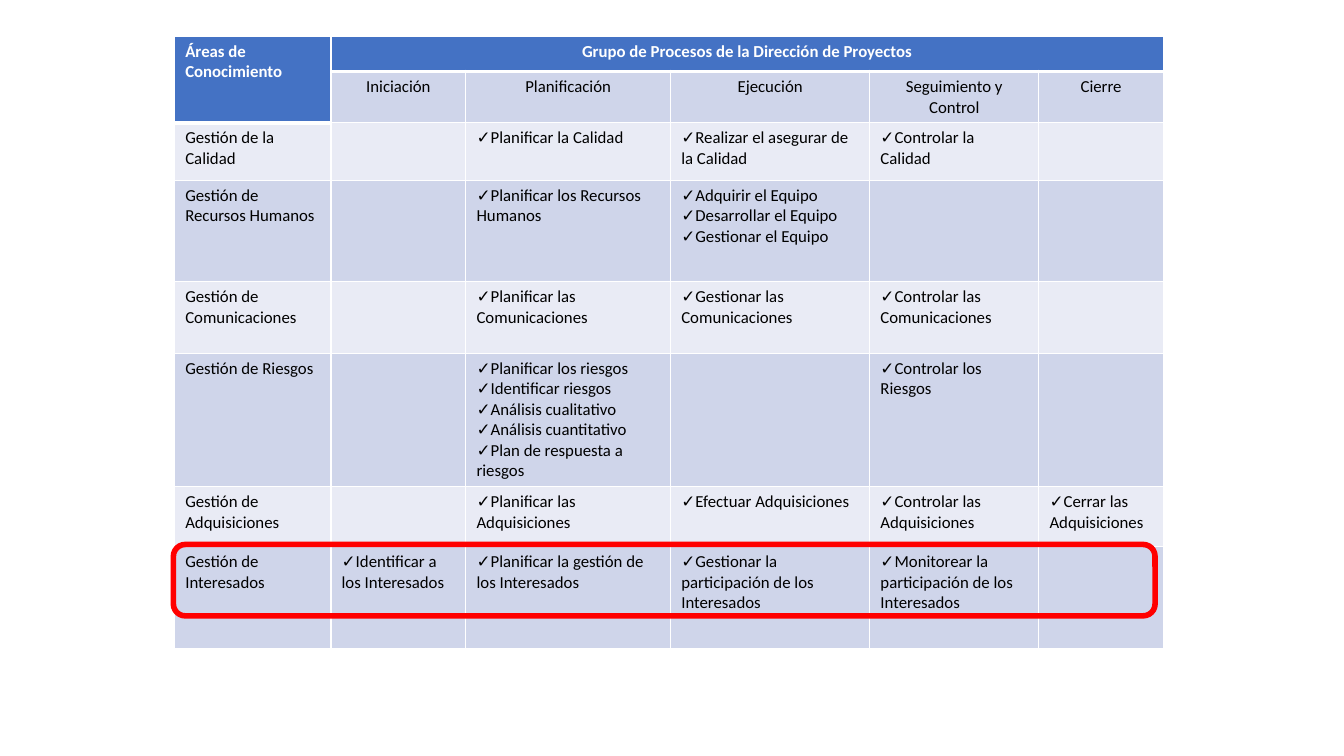
import pptx
import pptx.util
import pptx.dml.color
import pptx.enum.shapes
import pptx.enum.text
from lxml import etree
from pptx.oxml.ns import qn

Cm = pptx.util.Cm
Pt = pptx.util.Pt
RGB = pptx.dml.color.RGBColor
CENTER = pptx.enum.text.PP_ALIGN.CENTER

# Content: each cell is a list of its paragraphs
HEADS = [
    [["Áreas de Conocimiento"], ["Grupo de Procesos de la Dirección de Proyectos"],
     [], [], [], []],
    [[], ["Iniciación"], ["Planificación"], ["Ejecución"],
     ["Seguimiento y Control"], ["Cierre"]],
]
AREAS = [
    [["Gestión de la Calidad"], [], ["Planificar la Calidad"],
     ["Realizar el asegurar de la Calidad"], ["Controlar la Calidad"], []],
    [["Gestión de Recursos Humanos"], [], ["Planificar los Recursos Humanos"],
     ["Adquirir el Equipo", "Desarrollar el Equipo", "Gestionar el Equipo"], [], []],
    [["Gestión de Comunicaciones"], [], ["Planificar las Comunicaciones"],
     ["Gestionar las Comunicaciones"], ["Controlar las Comunicaciones"], []],
    [["Gestión de Riesgos"], [],
     ["Planificar los riesgos", "Identificar riesgos", "Análisis cualitativo",
      "Análisis cuantitativo", "Plan de respuesta a riesgos"],
     [], ["Controlar los Riesgos"], []],
    [["Gestión de Adquisiciones"], [], ["Planificar las Adquisiciones"],
     ["Efectuar Adquisiciones"], ["Controlar las Adquisiciones"],
     ["Cerrar las Adquisiciones"]],
    [["Gestión de Interesados"], ["Identificar a los Interesados"],
     ["Planificar la gestión de los Interesados"],
     ["Gestionar la participación de los Interesados"],
     ["Monitorear la participación de los Interesados"], []],
]
ROWS = HEADS + AREAS

# Sizes in centimetres
WIDTHS = [3.94, 3.4, 5.16, 5.02, 4.26, 3.14]
HEIGHTS = [0.89, 1.17, 1.45, 2.55, 1.81, 2.57, 1.52, 2.56]
LEFT, TOP = 4.4, 0.91

# Colours
WHITE = RGB(0xFF, 0xFF, 0xFF)
BLACK = RGB(0, 0, 0)
BLUE = RGB(0x44, 0x72, 0xC4)
DARK = RGB(0xCF, 0xD5, 0xEA)
LIGHT = RGB(0xE9, 0xEB, 0xF5)
RED = RGB(0xFF, 0, 0)


def is_head(row, col):
    return row == 0 or (row == 1 and col == 0)


def add_edge(cell, side, width):
    edge = etree.SubElement(cell._tc.get_or_add_tcPr(), qn("a:ln" + side),
                            w=str(Pt(width)))
    fill = etree.SubElement(edge, qn("a:solidFill"))
    etree.SubElement(fill, qn("a:srgbClr"), val=str(WHITE))


def add_check(para):
    props = para._p.get_or_add_pPr()
    props.set("marL", "0")
    props.set("indent", "0")
    etree.SubElement(props, qn("a:buFont"), typeface="Calibri")
    etree.SubElement(props, qn("a:buChar"), char="✓")


def fill_cell(cell, row, col, lines):
    head = is_head(row, col)
    cell.margin_left = cell.margin_right = Cm(0.27)
    cell.margin_top = cell.margin_bottom = Cm(0.13)

    # White edges, thicker under the header
    add_edge(cell, "L", 1)
    add_edge(cell, "R", 1)
    add_edge(cell, "T", 3 if row and is_head(row - 1, col) else 1)
    add_edge(cell, "B", 3 if head else 1)
    cell.fill.solid()
    cell.fill.fore_color.rgb = BLUE if head else DARK if row % 2 else LIGHT

    # Text
    frame = cell.text_frame
    frame.text = "\n".join(lines)
    for para in frame.paragraphs:
        if row < 2 and col > 0:
            para.alignment = CENTER
        elif lines and col > 0:
            add_check(para)
        para.font.name = "Calibri"
        para.font.size = Pt(12)
        para.font.bold = head
        para.font.color.rgb = WHITE if head else BLACK


def main():
    deck = pptx.Presentation()
    deck.slide_width, deck.slide_height = Cm(33.87), Cm(19.05)
    slide = deck.slides.add_slide(deck.slide_layouts[6])

    # Table of processes
    table = slide.shapes.add_table(
        len(ROWS), len(WIDTHS), Cm(LEFT), Cm(TOP),
        Cm(sum(WIDTHS)), Cm(sum(HEIGHTS))).table
    table.horz_banding = table.first_row = False
    for col, width in enumerate(WIDTHS):
        table.columns[col].width = Cm(width)
    for row, cells in enumerate(ROWS):
        table.rows[row].height = Cm(HEIGHTS[row])
        for col, lines in enumerate(cells):
            fill_cell(table.cell(row, col), row, col, lines)
    table.cell(0, 0).merge(table.cell(1, 0))
    table.cell(0, 1).merge(table.cell(0, len(WIDTHS) - 1))

    # Red frame around the last row
    frame = slide.shapes.add_shape(
        pptx.enum.shapes.MSO_SHAPE.ROUNDED_RECTANGLE,
        Cm(4.37), Cm(13.72), Cm(24.74), Cm(1.8))
    frame.shadow.inherit = False
    frame.fill.background()
    frame.line.color.rgb = RED
    frame.line.width = Pt(4)

    deck.save("out.pptx")


if __name__ == "__main__":
    main()
